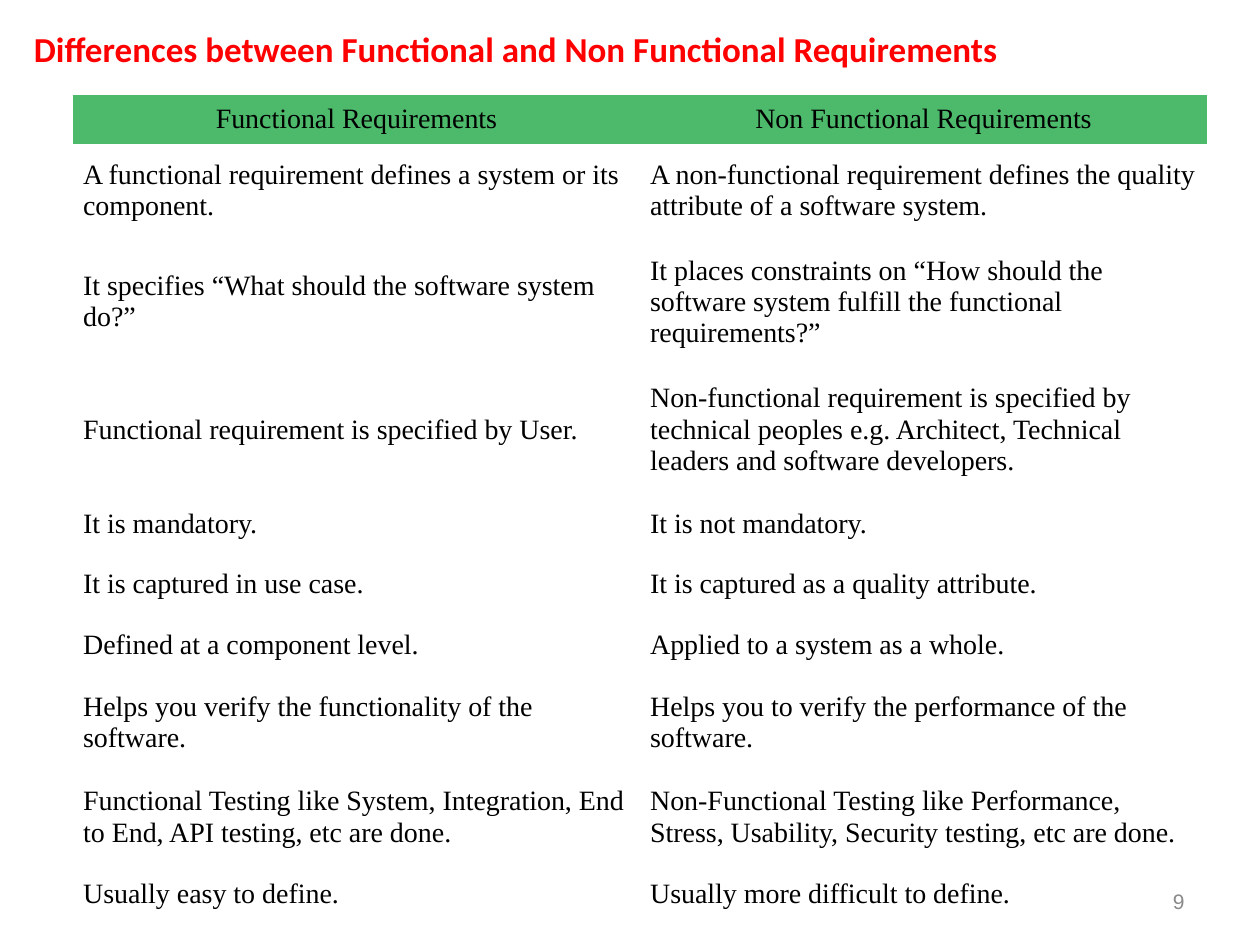
"""Build a slide comparing functional and non functional requirements."""
from pptx import Presentation
from pptx import util as u
from pptx.dml.color import RGBColor
from pptx.enum import text
from pptx.oxml import ns

RED = RGBColor(0xFF, 0x00, 0x00)
GREEN = RGBColor(0x4C, 0xB9, 0x6B)
WHITE = RGBColor(0xFF, 0xFF, 0xFF)
BLACK = RGBColor(0x00, 0x00, 0x00)
GRAY = RGBColor(0x89, 0x89, 0x89)

LEFT, CENTER, RIGHT = text.PP_ALIGN.LEFT, text.PP_ALIGN.CENTER, text.PP_ALIGN.RIGHT
MIDDLE = text.MSO_ANCHOR.MIDDLE
NO_STYLE_NO_GRID = "{2D5ABB26-0587-4C30-8999-92F81FD0307C}"

TITLE_FONT = {"name": "Calibri", "size": u.Pt(20), "bold": True}
TABLE_FONT = {"name": "Times New Roman", "size": u.Pt(16), "bold": False}
NUMBER_FONT = {"name": "Arial", "size": u.Pt(12)}

ROW_HEIGHTS = [0.39, 0.75, 1.01, 1.02, 0.48, 0.48, 0.48, 0.75, 0.75, 0.48]
ROWS = [
    ("Functional Requirements", "Non Functional Requirements"),
    ("A functional requirement defines a system or its component.",
     "A non-functional requirement defines the quality attribute of a software system."),
    ("It specifies “What should the software system do?”",
     "It places constraints on “How should the software system fulfill the functional requirements?”"),
    ("Functional requirement is specified by User.",
     "Non-functional requirement is specified by technical peoples e.g. Architect, "
     "Technical leaders and software developers."),
    ("It is mandatory.", "It is not mandatory."),
    ("It is captured in use case.", "It is captured as a quality attribute."),
    ("Defined at a component level.", "Applied to a system as a whole."),
    ("Helps you verify the functionality of the software.",
     "Helps you to verify the performance of the software."),
    ("Functional Testing like System, Integration, End to End, API testing, etc are done.",
     "Non-Functional Testing like Performance, Stress, Usability, Security testing, etc are done."),
    ("Usually easy to define.", "Usually more difficult to define."),
]


def set_attributes(target, values):
    """Set every named value on the target."""
    for name, value in values.items():
        setattr(target, name, value)


def write_paragraph(frame, words, font, color, **layout):
    """Write one formatted run into the first paragraph of a frame."""
    paragraph = frame.paragraphs[0]
    set_attributes(paragraph, layout)
    run = paragraph.add_run()
    run.text = words
    set_attributes(run.font, font)
    run.font.color.rgb = color


def add_text(slide, box, words, font, color, anchor=text.MSO_ANCHOR.TOP, **layout):
    """Add a wrapping text box."""
    frame = slide.shapes.add_textbox(*map(u.Inches, box)).text_frame
    set_attributes(frame, {"word_wrap": True, "vertical_anchor": anchor})
    write_paragraph(frame, words, font, color, **layout)


def fill_cell(cell, words, fill, side_margin, alignment):
    """Fill a table cell with colour and text."""
    margin = u.Inches(side_margin)
    set_attributes(cell, {
        "margin_left": margin, "margin_right": margin,
        "margin_top": u.Inches(0.05), "margin_bottom": u.Inches(0.05),
        "vertical_anchor": MIDDLE})
    cell.fill.solid()
    cell.fill.fore_color.rgb = fill
    write_paragraph(cell.text_frame, words, TABLE_FONT, BLACK, alignment=alignment)


def add_comparison_table(slide, box):
    """Add the two-column comparison table without borders."""
    frame = slide.shapes.add_table(len(ROWS), len(ROWS[0]), *map(u.Inches, box))
    table = frame.table
    set_attributes(table, {"first_row": False, "horz_banding": False})
    table._tbl.tblPr.find(ns.qn("a:tableStyleId")).text = NO_STYLE_NO_GRID
    for index, (height, words) in enumerate(zip(ROW_HEIGHTS, ROWS)):
        row = table.rows[index]
        row.height = u.Inches(height)
        style = (WHITE, 0.08, LEFT) if index else (GREEN, 0.06, CENTER)
        for cell, cell_words in zip(row.cells, words):
            fill_cell(cell, cell_words, *style)


def main():
    """Build and save the slide."""
    presentation = Presentation()
    set_attributes(presentation, {"slide_width": u.Inches(10), "slide_height": u.Inches(7.5)})
    slide = presentation.slides.add_slide(presentation.slide_layouts[6])
    add_text(slide, (0.17, 0.17, 9.58, 6.58),
             "Differences between Functional and Non Functional Requirements",
             TITLE_FONT, RED, space_before=u.Pt(5))
    add_comparison_table(slide, (0.58, 0.75, 9, sum(ROW_HEIGHTS)))
    add_text(slide, (7.17, 6.95, 2.33, 0.4), "9", NUMBER_FONT, GRAY, MIDDLE, alignment=RIGHT)
    presentation.save("out.pptx")


if __name__ == "__main__":
    main()
